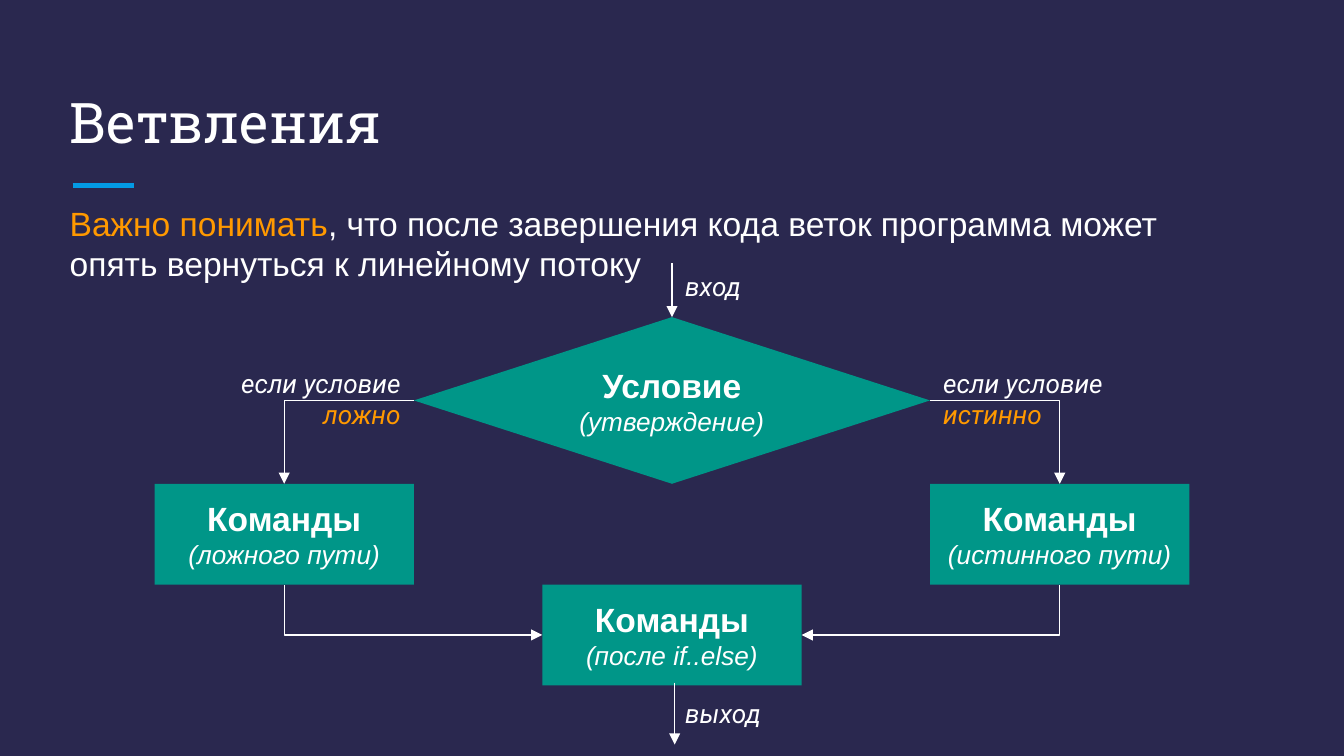
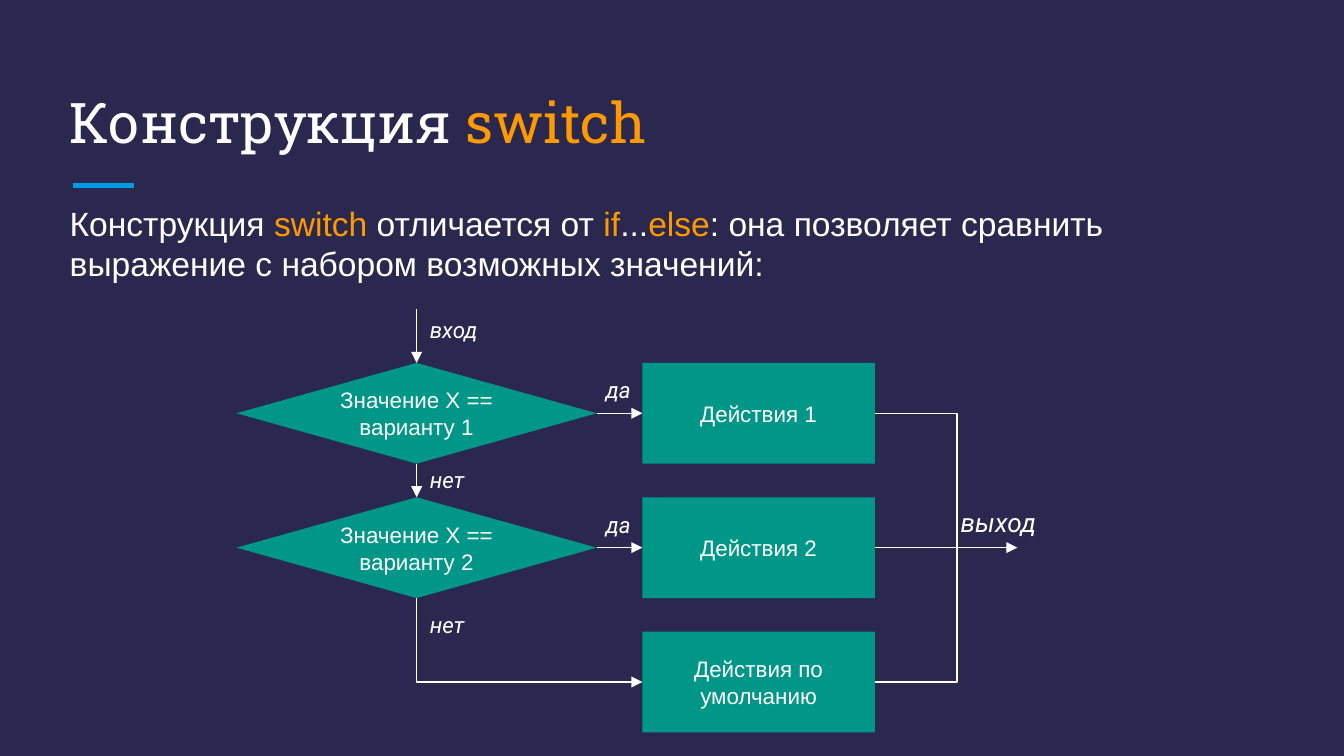
from lxml import etree
from pptx import Presentation
from pptx.dml.color import RGBColor
from pptx.enum.shapes import MSO_CONNECTOR, MSO_SHAPE
from pptx.enum.text import MSO_ANCHOR, PP_ALIGN
from pptx.oxml.ns import qn
from pptx.util import Inches, Pt

RECT, DIAMOND = MSO_SHAPE.RECTANGLE, MSO_SHAPE.DIAMOND
STRAIGHT, ELBOW = MSO_CONNECTOR.STRAIGHT, MSO_CONNECTOR.ELBOW
TOP, MIDDLE, BOTTOM = MSO_ANCHOR.TOP, MSO_ANCHOR.MIDDLE, MSO_ANCHOR.BOTTOM
LEFT, CENTER, RIGHT = PP_ALIGN.LEFT, PP_ALIGN.CENTER, PP_ALIGN.RIGHT

NAVY, TEAL, BLUE = "2A284F", "009688", "039BE5"
WHITE, ORANGE = "FFFFFF", "FF9900"
BOX_H = 0.75

TITLE = {"name": "Roboto Slab", "size": 30}
BODY = {"name": "Arial", "size": 18}
HEAD = {"name": "Arial", "size": 18, "bold": True}
SUB = {"name": "Arial", "size": 14, "italic": True}
STEP = {"name": "Arial", "size": 12}
LABEL = {"name": "Roboto", "size": 14, "italic": True}
SMALL_LABEL = {**LABEL, "size": 12}


def rgb(color):
    return RGBColor.from_string(color)


def write(sp, lines, anchor=TOP, align=LEFT):
    """Fill sp with one paragraph; each line is a list of (text, format, colour) runs."""
    tf = sp.text_frame
    tf.word_wrap = True
    tf.vertical_anchor = anchor
    for side in ("left", "right", "top", "bottom"):
        setattr(tf, f"margin_{side}", Inches(0.1))
    p = tf.paragraphs[0]
    p.alignment = align
    for i, line in enumerate(lines):
        if i:
            p.add_line_break()
        for text, fmt, color in line:
            r = p.add_run()
            r.text = text
            r.font.color.rgb = rgb(color)
            for key, value in fmt.items():
                setattr(r.font, key, Pt(value) if key == "size" else value)


def add_text(slide, x, y, w, h, runs, **layout):
    sp = slide.shapes.add_textbox(Inches(x), Inches(y), Inches(w), Inches(h))
    write(sp, [runs], **layout)


def add_box(slide, kind, x, y, w, lines, h=BOX_H):
    sp = slide.shapes.add_shape(kind, Inches(x), Inches(y), Inches(w), Inches(h))
    sp.shadow.inherit = False
    sp.fill.solid()
    sp.fill.fore_color.rgb = rgb(TEAL)
    sp.line.fill.background()
    write(sp, [[(text, fmt, WHITE)] for text, fmt in lines], MIDDLE, CENTER)


def add_line(slide, start, end, kind=STRAIGHT, arrow="tailEnd", color=WHITE, width=0.75):
    """Draw a connector; arrow is tailEnd (at end), headEnd (at start) or None."""
    cx = slide.shapes.add_connector(kind, *(Inches(v) for v in (*start, *end)))
    cx.line.color.rgb = rgb(color)
    cx.line.width = Pt(width)
    sp_pr = cx._element.spPr
    if arrow:
        etree.SubElement(sp_pr.find(qn("a:ln")), qn(f"a:{arrow}"), type="triangle")
    etree.SubElement(sp_pr, qn("a:effectLst"))
    return cx


def add_corner(slide, start, end, arrow="tailEnd"):
    """Draw a one-bend connector that leaves start horizontally."""
    cx = add_line(slide, start, end, ELBOW, arrow)
    cx._element.spPr.find(qn("a:prstGeom")).set("prst", "bentConnector2")


def add_bracket(slide, x, top, bottom, reach):
    fb = slide.shapes.build_freeform(Inches(x), Inches(top), scale=1)
    points = [(x + reach, top), (x + reach, bottom), (x, bottom)]
    fb.add_line_segments([(Inches(a), Inches(b)) for a, b in points], close=False)
    sp = fb.convert_to_shape()
    sp.shadow.inherit = False
    sp.fill.background()
    sp.line.color.rgb = rgb(WHITE)
    sp.line.width = Pt(0.75)


def add_slide(prs, title, body, body_w):
    slide = prs.slides.add_slide(prs.slide_layouts[6])
    slide.background.fill.solid()
    slide.background.fill.fore_color.rgb = rgb(NAVY)
    add_line(slide, (0.54, 1.38), (1, 1.38), arrow=None, color=BLUE, width=3)
    add_text(slide, 0.42, 0.5, 9.15, 0.75, [(t, TITLE, c) for t, c in title], anchor=BOTTOM)
    add_text(slide, 0.42, 1.41, body_w, 0.75, [(t, BODY, c) for t, c in body])
    return slide


def add_branching(prs):
    slide = add_slide(
        prs, [("Ветвления", WHITE)],
        [("Важно понимать", ORANGE),
         (", что после завершения кода веток программа может опять вернуться "
          "к линейному потоку", WHITE)], 8.99)
    mid, box_w, cond_w = 5, 1.93, 3.84
    cond_y, cond_h, branch_y, after_y = 2.36, 1.24, 3.6, 4.35
    cond_mid, after_mid = cond_y + cond_h / 2, after_y + BOX_H / 2

    add_box(slide, DIAMOND, mid - cond_w / 2, cond_y, cond_w,
            [("Условие", HEAD), ("(утверждение)", SUB)], cond_h)
    add_line(slide, (mid, 1.96), (mid, cond_y))
    add_text(slide, mid, 1.91, 0.79, 0.44, [("вход", LABEL, WHITE)])

    branches = [(-1, "ложно", "(ложного пути)", 1.65, RIGHT),
                (1, "истинно", "(истинного пути)", 6.92, LEFT)]
    for side, answer, path, label_x, align in branches:
        edge = mid + side * cond_w / 2
        center = edge + side * box_w / 2
        add_corner(slide, (edge, cond_mid), (center, branch_y))
        add_text(slide, label_x, 2.63, 1.43, 0.69,
                 [("если условие ", LABEL, WHITE), (answer, LABEL, ORANGE)], align=align)
        add_box(slide, RECT, center - box_w / 2, branch_y, box_w,
                [("Команды", HEAD), (path, SUB)])
        add_corner(slide, (mid + side * box_w / 2, after_mid),
                   (center, branch_y + BOX_H), "headEnd")

    add_box(slide, RECT, mid - box_w / 2, after_y, box_w,
            [("Команды", HEAD), ("(после if..else)", SUB)])
    add_line(slide, (5.02, 5.08), (5.02, 5.54))
    add_text(slide, mid, 5.09, 0.79, 0.44, [("выход", LABEL, WHITE)])


def add_switch(prs):
    slide = add_slide(
        prs, [("Конструкция ", WHITE), ("switch", ORANGE)],
        [("Конструкция ", WHITE), ("switch", ORANGE), (" отличается от ", WHITE),
         ("if", ORANGE), ("...", WHITE), ("else", ORANGE),
         (": она позволяет сравнить выражение с набором возможных значений:", WHITE)], 9.15)
    test_x, test_w, act_x, act_w = 1.76, 2.68, 4.78, 1.73
    test_mid, test_right, act_right = test_x + test_w / 2, test_x + test_w, act_x + act_w
    tops = [2.7, 3.7, 4.7]
    mids = [y + BOX_H / 2 for y in tops]

    add_line(slide, (test_mid, 2.3), (test_mid, tops[0]))
    add_text(slide, test_mid, 2.25, 0.79, 0.44, [("вход", SMALL_LABEL, WHITE)])
    for n, (y, y_mid) in enumerate(zip(tops[:2], mids), 1):
        add_box(slide, DIAMOND, test_x, y, test_w, [(f"Значение X == варианту {n}", STEP)])
        add_line(slide, (test_right, y_mid), (act_x, y_mid))
        add_text(slide, 4.41, y, 0.39, 0.4, [("да", SMALL_LABEL, WHITE)])
    for y, action in zip(tops, ("Действия 1", "Действия 2", "Действия по умолчанию")):
        add_box(slide, RECT, act_x, y, act_w, [(action, STEP)])

    add_line(slide, (test_mid, tops[0] + BOX_H), (test_mid, tops[1]))
    add_corner(slide, (act_x, mids[2]), (test_mid, tops[1] + BOX_H), "headEnd")
    for y in (3.37, 4.45):
        add_text(slide, test_mid, y, 0.48, 0.4, [("нет", SMALL_LABEL, WHITE)])

    add_line(slide, (act_right, mids[1]), (7.57, mids[1]))
    add_bracket(slide, act_right, mids[0], mids[2], 0.61)
    add_text(slide, 7.05, 3.67, 0.84, 0.44, [("выход", LABEL, WHITE)])


def main():
    prs = Presentation()
    prs.slide_width = Inches(10)
    prs.slide_height = prs.slide_width * 9 // 16
    add_branching(prs)
    add_switch(prs)
    prs.save("out.pptx")


if __name__ == "__main__":
    main()
